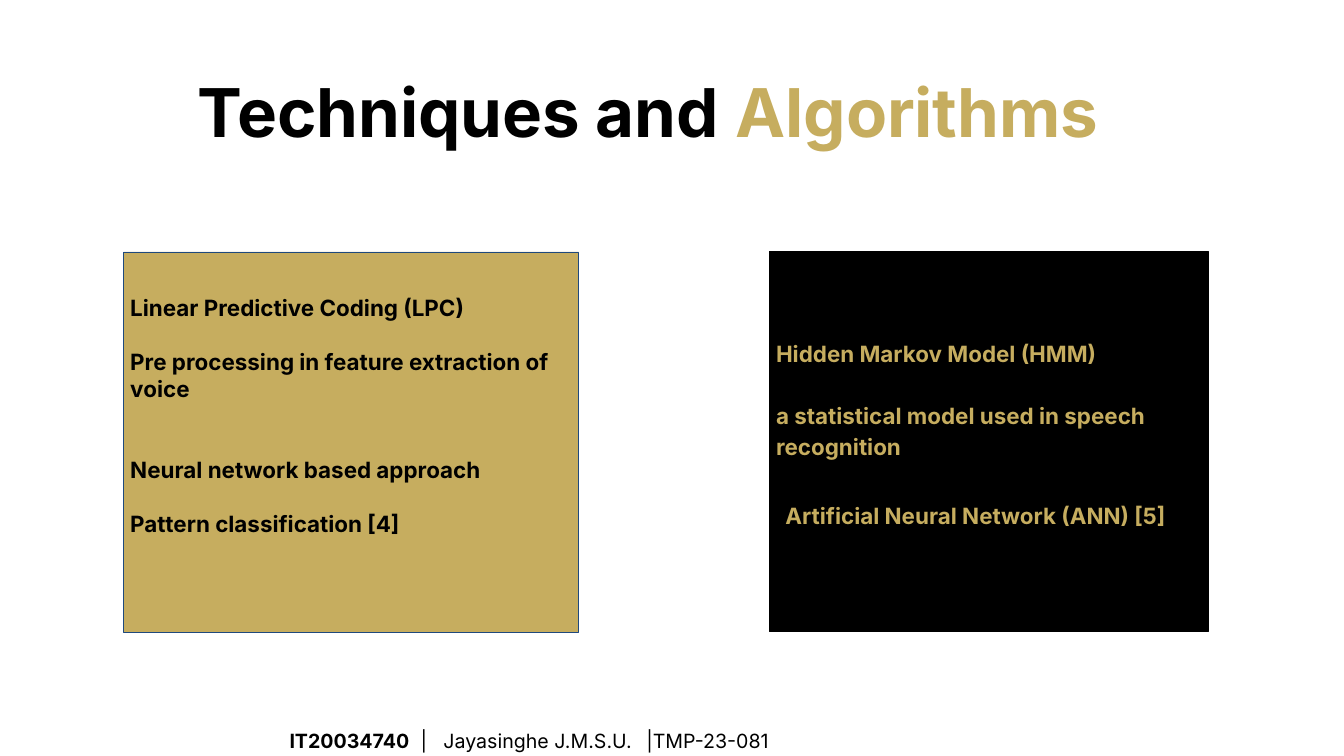
from lxml import etree
from pptx import Presentation
from pptx import util as u
from pptx.dml.color import RGBColor
from pptx.enum import shapes, text
from pptx.oxml.ns import qn

COLUMNS, ROWS = 200, 112.5
CELL = u.Inches(20) / COLUMNS
FONT = "Inter"
GOLD, BLACK, NAVY = "C6AD5F", "000000", "1F497D"


def cells(count):
    return u.Emu(round(count * CELL))


def color(value):
    return RGBColor.from_string(value)


def apply(target, formats):
    for name, value in formats.items():
        setattr(target, name, value)


def set_frame(shape, top_inset=1):
    frame = shape.text_frame
    apply(frame, {
        "word_wrap": True,
        "vertical_anchor": text.MSO_ANCHOR.TOP,
        "margin_left": cells(1),
        "margin_right": cells(1),
        "margin_top": cells(top_inset),
        "margin_bottom": cells(1),
    })
    return frame


def write_para(para, spans, size, **formats):
    apply(para, {"alignment": text.PP_ALIGN.LEFT, **formats})
    for words, ink, bold in spans:
        span = para.add_run()
        span.text = words
        apply(span.font, {"name": FONT, "size": u.Pt(size), "bold": bold})
        span.font.color.rgb = color(ink)


def add_line(page, box, spans, size, **formats):
    shape = page.shapes.add_textbox(*map(cells, box))
    para = set_frame(shape).paragraphs[0]
    write_para(para, spans, size, **formats)
    return para


def add_panel(page, box, fill, border, ink, top_inset, lines, spacing):
    panel = page.shapes.add_shape(shapes.MSO_SHAPE.RECTANGLE, *map(cells, box))
    panel.shadow.inherit = False
    panel.fill.solid()
    panel.fill.fore_color.rgb = color(fill)
    panel.line.color.rgb = color(border)
    panel.line.width = u.Pt(0.75)
    frame = set_frame(panel, top_inset)
    for index, (words, gap) in enumerate(lines):
        para = frame.add_paragraph() if index else frame.paragraphs[0]
        write_para(para, [(words, ink, True)], 24,
                   space_before=u.Pt(gap), line_spacing=spacing)


def add_title(page, box):
    add_line(page, box, [("Techniques and ", BLACK, True),
                         ("Algorithms", GOLD, True)], 72)


def add_coding_panel(page, box):
    lines = [
        ("Linear Predictive Coding (LPC)", 0),
        ("Pre processing in feature extraction of voice", 29),
        ("Neural network based approach", 58),
        ("Pattern classification [4]", 29),
    ]
    add_panel(page, box, GOLD, NAVY, BLACK, 6.3, lines, 1.0)


def add_model_panel(page, box):
    left, top, width, height = box
    lines = [
        ("Hidden Markov Model (HMM)", 0),
        ("a statistical model used in speech recognition", 33.4),
    ]
    add_panel(page, box, BLACK, BLACK, GOLD, 12.6, lines, 1.15)
    network_box = (left + 1.4, top + 36.3, width - 3.5, 6.1)
    add_line(page, network_box,
             [("Artificial Neural Network (ANN) [5]", GOLD, True)], 24)


def add_footer(page, box):
    para = add_line(page, box, [
        ("IT20034740", BLACK, True),
        ("\t|\tJayasinghe J.M.S.U.\t|TMP-23-081", BLACK, False),
    ], 21, line_spacing=1.15)
    stops = etree.SubElement(para._p.get_or_add_pPr(), qn("a:tabLst"))
    for column in (19.5, 22.9, 53.1):
        etree.SubElement(stops, qn("a:tab"), pos=str(cells(column)), algn="l")


def main():
    deck = Presentation()
    deck.slide_width, deck.slide_height = cells(COLUMNS), cells(ROWS)
    page = deck.slides.add_slide(deck.slide_layouts[6])
    add_title(page, (28.4, 9.4, 147.3, 14.1))
    add_coding_panel(page, (18.4, 37.5, 67.7, 56.6))
    add_model_panel(page, (114.5, 37.4, 65.3, 56.6))
    add_footer(page, (42.1, 106.9, 100.2, 5.6))
    deck.save("out.pptx")


if __name__ == "__main__":
    main()
